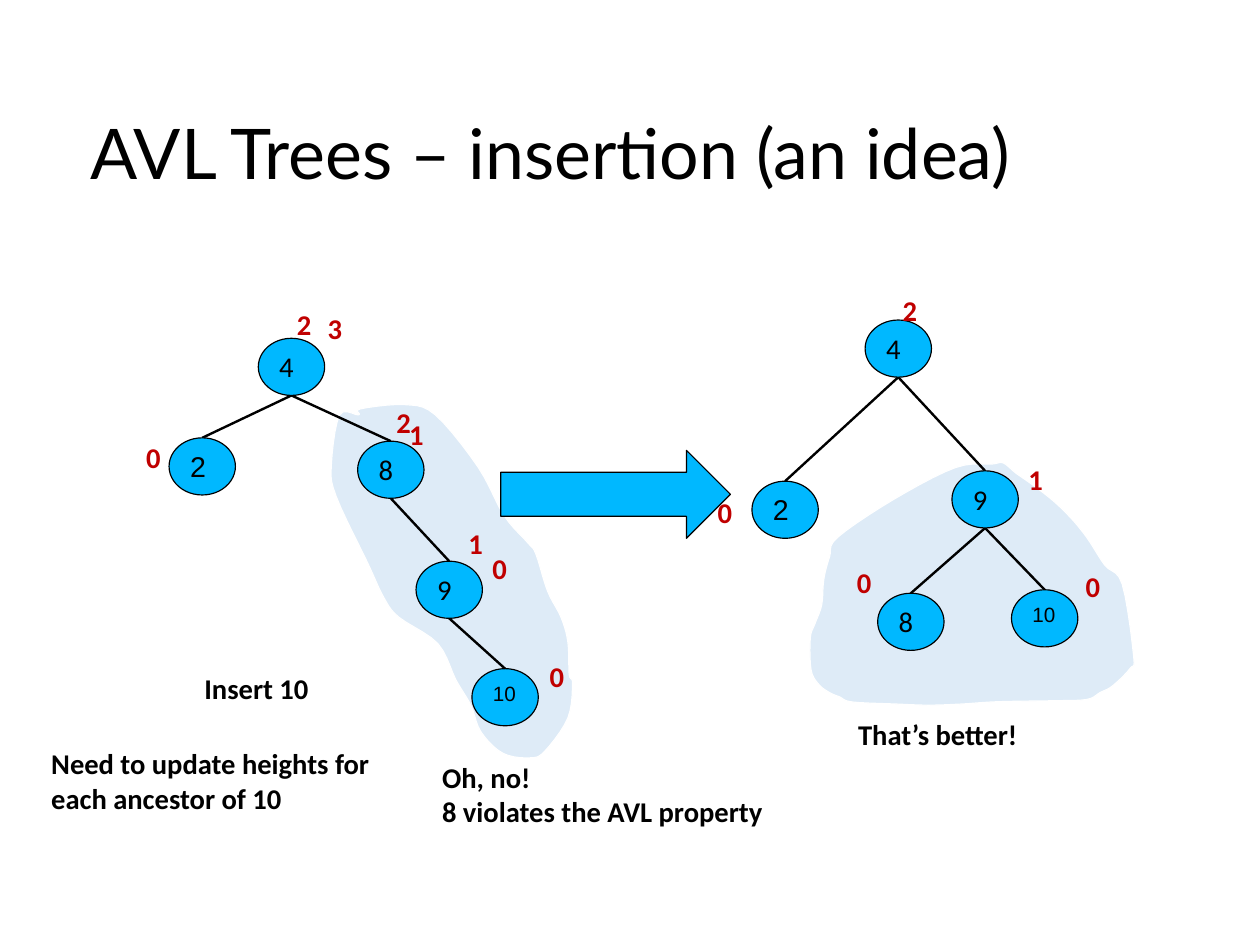
from lxml.etree import SubElement
from pptx import Presentation
from pptx.dml.color import RGBColor
from pptx.enum.shapes import MSO_CONNECTOR, MSO_SHAPE
from pptx.enum.text import MSO_ANCHOR, MSO_AUTO_SIZE, PP_ALIGN
from pptx.oxml.ns import qn
from pptx.util import Pt

COLORS = {"text": "000000", "node": "00B8FF", "height": "C00000",
          "region": "DEEBF7", "region edge": "FFFFFF"}

SLIDE_SIZE = {"slide_width": Pt(793.75), "slide_height": Pt(595.25)}
TITLE = ("AVL Trees – insertion (an idea)", (56.9, 44.6, 666, 98.6))
ARROW = (315.4, 283.7, 144.7, 55.4)

# Nodes are key: (centre x, top); heights are (value, left, top).
TREES = [
    {"nodes": {"4": (183.6, 213.1), "2": (127.4, 275.8), "8": (246.2, 277.9),
               "9": (283, 353.5), "10": (318.2, 421.2)},
     "edges": [("4", "2"), ("4", "8"), ("8", "9"), ("9", "10")],
     "heights": [("0", 85, 273.6), ("0", 303.1, 343.4), ("1", 250.6, 259.2),
                 ("2", 180, 190.1), ("3", 199.4, 192.2), ("0", 339.1, 411.8),
                 ("2", 242.6, 251.3), ("1", 288, 327.6)],
     "region": [(214, 261.4), (226, 261.4), (227, 257.6), (254.9, 254.9),
                (274.3, 261.4), (301.3, 294.4), (317.5, 324.7), (332.6, 342),
                (337.7, 349.2), (344.9, 372.2), (353.5, 389), (357.8, 404.6),
                (358.6, 424.8), (360.7, 430.6), (357.8, 452.2), (343.4, 473),
                (334, 477.4), (316.8, 474.5), (303, 461), (296.6, 444.2),
                (287.3, 428.4), (275.8, 405.4), (251.3, 388.8), (241.9, 376.6),
                (231.8, 355), (211.7, 312.5), (208.8, 292.3)]},
    {"nodes": {"4": (565.9, 201.6), "2": (494.6, 303.1), "9": (620.6, 296.6),
               "8": (573.8, 373.7), "10": (658.1, 371.5)},
     "edges": [("4", "2"), ("4", "9"), ("9", "8"), ("9", "10")],
     "heights": [("0", 445, 308.2), ("1", 640.8, 287.3), ("2", 561.6, 180.7),
                 ("0", 532.8, 352.1), ("0", 676.8, 355)],
     "region": [(527.8, 338.4), (563.5, 314.3), (602, 294.5), (625, 292.3),
                (632, 291.6), (640, 298), (650, 305), (663, 315),
                (674.6, 326.2), (685, 339), (696, 356), (707, 368),
                (714.2, 413.3), (712, 421), (701, 432), (693, 436.3),
                (684.7, 440.6), (664, 441.4), (629, 442), (605.5, 443.5),
                (585, 444.2), (565, 443.5), (537, 442.2), (529, 439),
                (522.7, 436.3), (516, 431.3), (511, 422), (510.5, 401.8),
                (513.4, 393), (517.7, 381), (519, 365), (522.7, 350.6)]},
]

NOTES = [
    (["Insert 10"], (121.7, 419, 105.1, 27.4)),
    (["Need to update heights for each ancestor of 10"], (25.2, 466.6, 220.3, 47.5)),
    (["Oh, no!", "8 violates the AVL property"], (271.4, 475.2, 245.5, 47.5)),
    (["That’s better!"], (533.5, 447.8, 245.5, 27.4)),
]

NODE_W, NODE_H = 41.8, 36
HEIGHT_W, HEIGHT_H = 24.5, 27.4
CURVE_STEPS = 5

TITLE_FONT = {"name": "Lato", "size": Pt(44)}
BOLD_FONT = {"name": "Calibri", "size": Pt(18), "bold": True}
NODE_FONT = {"name": "Calibri", "size": Pt(18)}
NODE_FONTS = {"2": {"name": "Arial", "size": Pt(18)},
              "10": {"name": "Arial", "size": Pt(13)}}


def rgb(role):
    return RGBColor.from_string(COLORS[role])


def points(*lengths):
    return [Pt(length) for length in lengths]


def apply(target, formats):
    for attribute, value in formats.items():
        setattr(target, attribute, value)


def write(frame, lines, font, color="text", spacing=None):
    for index, line in enumerate(lines):
        paragraph = frame.add_paragraph() if index else frame.paragraphs[0]
        apply(paragraph, {"alignment": PP_ALIGN.LEFT, "line_spacing": spacing})
        run = paragraph.add_run()
        run.text = line
        apply(run.font, font)
        run.font.color.rgb = rgb(color)


def paint(shape, fill, edge):
    shape.shadow.inherit = False
    shape.fill.solid()
    shape.fill.fore_color.rgb = rgb(fill)
    shape.line.color.rgb = rgb(edge)
    shape.line.width = Pt(0.75)


def add_text(slide, lines, box, font, color="text", **frame_formats):
    frame = slide.shapes.add_textbox(*points(*box)).text_frame
    apply(frame, {"word_wrap": True, **frame_formats})
    write(frame, lines, font, color)


def smooth_outline(anchors):
    """Closed Catmull-Rom curve through the anchors."""
    curve = []
    for i, b in enumerate(anchors):
        a, c, d = (anchors[(i + step) % len(anchors)] for step in (-1, 1, 2))
        for step in range(CURVE_STEPS):
            t = step / CURVE_STEPS
            curve.append(points(*(
                q + (r - p) * t / 2 + (2 * p - 5 * q + 4 * r - s) * t ** 2 / 2
                + (3 * q - p - 3 * r + s) * t ** 3 / 2
                for p, q, r, s in zip(a, b, c, d))))
    return curve


def add_region(slide, anchors):
    start, *rest = smooth_outline(anchors)
    builder = slide.shapes.build_freeform(*start)
    builder.add_line_segments(rest, close=True)
    paint(builder.convert_to_shape(), "region", "region edge")


def add_edge(slide, parent, child):
    edge = slide.shapes.add_connector(
        MSO_CONNECTOR.STRAIGHT, *points(parent[0], parent[1] + NODE_H, *child))
    edge.line.color.rgb = rgb("text")
    edge.line.width = Pt(1.5)
    SubElement(edge._element.spPr, qn("a:effectLst"))


def add_node(slide, key, center, top):
    node = slide.shapes.add_shape(
        MSO_SHAPE.OVAL, *points(center - NODE_W / 2, top, NODE_W, NODE_H))
    paint(node, "node", "text")
    node.text_frame.vertical_anchor = MSO_ANCHOR.TOP
    write(node.text_frame, [key], NODE_FONTS.get(key, NODE_FONT), spacing=0.93)


def add_tree(slide, tree):
    nodes = tree["nodes"]
    for parent, child in tree["edges"]:
        add_edge(slide, nodes[parent], nodes[child])
    for key, (center, top) in nodes.items():
        add_node(slide, key, center, top)
    for value, left, top in tree["heights"]:
        add_text(slide, [value], (left, top, HEIGHT_W, HEIGHT_H), BOLD_FONT, "height",
                 word_wrap=False, auto_size=MSO_AUTO_SIZE.SHAPE_TO_FIT_TEXT)


def main():
    deck = Presentation()
    apply(deck, SLIDE_SIZE)
    slide = deck.slides.add_slide(deck.slide_layouts[6])

    for tree in TREES:
        add_region(slide, tree["region"])
    title, title_box = TITLE
    add_text(slide, [title], title_box, TITLE_FONT, vertical_anchor=MSO_ANCHOR.MIDDLE,
             margin_left=0, margin_right=0, margin_top=Pt(2.9), margin_bottom=0)

    before, after = TREES
    add_tree(slide, before)
    paint(slide.shapes.add_shape(MSO_SHAPE.RIGHT_ARROW, *points(*ARROW)), "node", "text")
    add_tree(slide, after)
    for lines, box in NOTES:
        add_text(slide, lines, box, BOLD_FONT, auto_size=MSO_AUTO_SIZE.SHAPE_TO_FIT_TEXT)

    deck.save("out.pptx")


if __name__ == "__main__":
    main()
